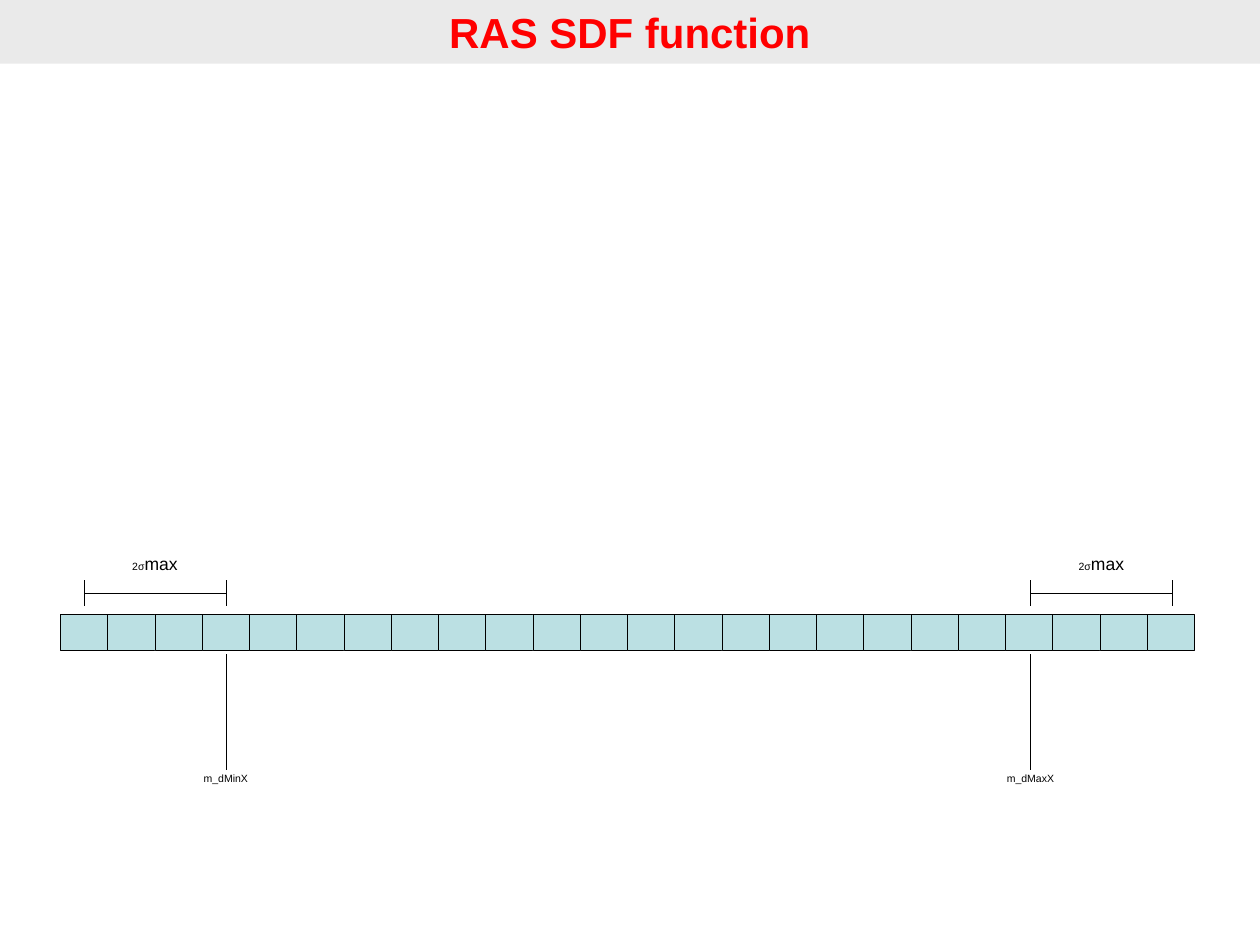
from dataclasses import dataclass
from lxml.etree import SubElement
from pptx import Presentation
from pptx.dml.color import RGBColor as RGB
from pptx.enum.shapes import MSO_CONNECTOR as CONN, MSO_SHAPE as SHAPE
from pptx.enum.text import MSO_ANCHOR as ANCHOR, MSO_AUTO_SIZE as AUTO, PP_ALIGN as ALIGN
from pptx.oxml.ns import qn
from pptx.util import Inches, Pt


@dataclass(frozen=True)
class Theme:
    font: str = "Arial"
    ink: RGB = RGB(0x00, 0x00, 0x00)
    title: RGB = RGB(0xFF, 0x00, 0x00)
    banner: RGB = RGB(0xEA, 0xEA, 0xEA)
    cell: RGB = RGB(0xBB, 0xE0, 0xE3)
    title_size: int = 48
    max_size: int = 20
    label_size: int = 12
    line: float = 0.75


THEME = Theme()
WIDTH, HEIGHT = Inches(20), Inches(15)
LEFT, TOP = Inches(0.96), Inches(9.75)
COL, ROW = Inches(0.75), Inches(0.58)
CELLS = 24
MIN_COL, MAX_COL = 3.5, 20.53
SIGMA_COLS = 3


def x(col):
    return round(LEFT + col * COL)


def y(row):
    """Height on the slide of a row counted from the top of the cells."""
    return round(TOP + row * ROW)


def add_run(p, text, size, color=THEME.ink, bold=False):
    r = p.add_run()
    r.text = text
    style = {"name": THEME.font, "size": Pt(size), "bold": bold}
    for name, value in style.items():
        setattr(r.font, name, value)
    r.font.color.rgb = color


def add_box(shapes, left, top, width, height, fill):
    sp = shapes.add_shape(SHAPE.RECTANGLE, left, top, width, height)
    sp.shadow.inherit = False
    sp.fill.solid()
    sp.fill.fore_color.rgb = fill
    return sp


def add_line(shapes, col1, row1, col2, row2):
    line = shapes.add_connector(CONN.STRAIGHT, x(col1), y(row1), x(col2), y(row2))
    line.line.color.rgb = THEME.ink
    line.line.width = Pt(THEME.line)
    SubElement(line._element.spPr, qn("a:effectLst"))


def add_label(shapes, col, row, cols, runs):
    """Centred text whose box starts at a column and row; runs are (text, size)."""
    tf = shapes.add_textbox(x(col), y(row), round(cols * COL), round(1.22 * ROW)).text_frame
    for name, value in {"word_wrap": True, "auto_size": AUTO.SHAPE_TO_FIT_TEXT}.items():
        setattr(tf, name, value)
    p = tf.paragraphs[0]
    p.alignment = ALIGN.CENTER
    for text, size in runs:
        add_run(p, text, size)


def add_banner(shapes, text):
    sp = add_box(shapes, 0, 0, WIDTH, Inches(1.01), THEME.banner)
    sp.line.fill.background()
    tf = sp.text_frame
    tf.vertical_anchor = ANCHOR.MIDDLE
    p = tf.paragraphs[0]
    p.alignment = ALIGN.CENTER
    add_run(p, text, THEME.title_size, THEME.title, bold=True)


def add_cells(shapes):
    for col in range(CELLS):
        sp = add_box(shapes, x(col), y(0), COL, ROW, THEME.cell)
        sp.line.color.rgb = THEME.ink
        sp.line.width = Pt(THEME.line)


def add_limit(shapes, col, name):
    add_line(shapes, col, 1.09, col, 4.26)
    cols = 3.5
    add_label(shapes, col - cols / 2, 4.24, cols, [(name, THEME.label_size)])


def add_sigma_span(shapes, col):
    """Grouped bracket above the cells, with its label, starting at a column."""
    group = shapes.add_group_shape().shapes
    end = col + SIGMA_COLS
    for tick in (col, end):
        add_line(group, tick, -0.93, tick, -0.22)
    add_line(group, col, -0.58, end, -0.58)
    add_label(group, col + 0.5, -1.75, SIGMA_COLS - 1,
              [("2σ", THEME.label_size), ("max", THEME.max_size)])


def main():
    prs = Presentation()
    prs.slide_width, prs.slide_height = WIDTH, HEIGHT
    s = prs.slides.add_slide(prs.slide_layouts[6])
    add_banner(s.shapes, "RAS SDF function")
    add_cells(s.shapes)
    for col, name, span in ((MIN_COL, "m_dMinX", MIN_COL - SIGMA_COLS),
                            (MAX_COL, "m_dMaxX", MAX_COL)):
        add_limit(s.shapes, col, name)
        add_sigma_span(s.shapes, span)
    prs.save("out.pptx")


if __name__ == "__main__":
    main()
